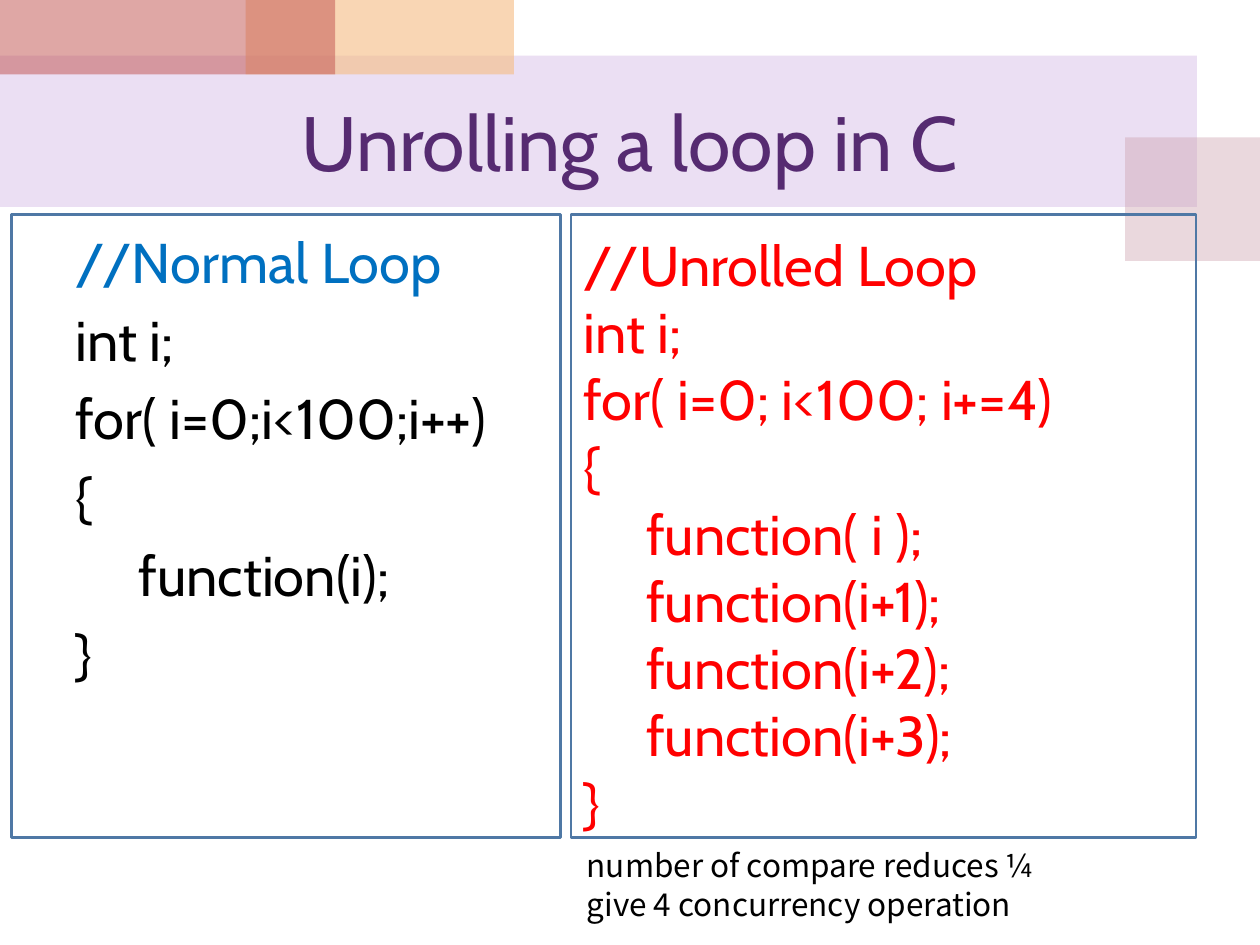
from lxml import etree
from pptx import Presentation
from pptx.dml.color import RGBColor
from pptx.enum import shapes, text
from pptx.oxml import ns
from pptx.util import Cm, Pt

PURPLE = RGBColor(0x56, 0x2B, 0x71)
BLUE = RGBColor(0x00, 0x70, 0xC0)
BLACK = RGBColor(0x00, 0x00, 0x00)
RED = RGBColor(0xFF, 0x00, 0x00)
FRAME = RGBColor(0x4F, 0x78, 0xA5)
LILAC = RGBColor(0xBF, 0x98, 0xD8)
ROSE = RGBColor(0xCC, 0x9E, 0xAC)
ORANGE = RGBColor(0xF5, 0xBC, 0x83)
BRICK = RGBColor(0xC0, 0x50, 0x4D)

CODE_FONT = "Cabin"
NOTE_FONT = "Noto Sans CJK KR"

TITLE = "Unrolling a loop in C"
NORMAL_LOOP = [
    "//Normal Loop",
    "int i;",
    "for( i=0;i<100;i++)",
    "{",
    "\tfunction(i);",
    "}",
]
UNROLLED_LOOP = [
    "//Unrolled Loop",
    "int i;",
    "for( i=0; i<100; i+=4)",
    "{",
    "\tfunction( i );",
    "\tfunction(i+1);",
    "\tfunction(i+2);",
    "\tfunction(i+3);",
    "}",
]
NOTE = ["number of compare reduces ¼", "give 4 concurrency operation"]

# left, top, width, height in cm; colour; opacity in percent
BANDS = [
    ((0, 1.12, 24.13, 3.05), LILAC, 30),
    ((22.68, 2.77, 2.72, 2.49), ROSE, 40),
    ((4.95, 0, 5.41, 1.5), ORANGE, 60),
    ((0, 0, 6.76, 1.5), BRICK, 50),
]
PANEL_TOP, PANEL_HEIGHT = 4.32, 12.57
PANELS = [(11.51, 12.6), (0.23, 11.07)]  # left, width


def lengths(area):
    return [Cm(value) for value in area]


def add_rectangle(page, area):
    box = page.shapes.add_shape(shapes.MSO_SHAPE.RECTANGLE, *lengths(area))
    box.shadow.inherit = False
    return box


def add_band(page, area, colour, opacity):
    band = add_rectangle(page, area)
    band.line.fill.background()
    band.fill.solid()
    band.fill.fore_color.rgb = colour
    tint = band.element.find(".//" + ns.qn("a:srgbClr"))
    etree.SubElement(tint, ns.qn("a:alpha"), val=str(opacity * 1000))
    return band


def write(box, area, lines, font, size, colour):
    box.left, box.top, box.width, box.height = lengths(area)
    frame = box.text_frame
    frame.text = "\n".join(lines)
    frame.word_wrap = True
    frame.auto_size = text.MSO_AUTO_SIZE.NONE
    for para in frame.paragraphs:
        for span in para.runs:
            span.font.name = font
            span.font.size = Pt(size)
            span.font.color.rgb = colour
    return frame


def remove_bullet(para):
    properties = para._p.get_or_add_pPr()
    properties.set("marL", "0")
    properties.set("indent", "0")
    etree.SubElement(properties, ns.qn("a:buNone"))


def main():
    deck = Presentation()
    deck.slide_width, deck.slide_height = Cm(25.4), Cm(19.05)
    page = deck.slides.add_slide(deck.slide_layouts[1])
    title, body = page.placeholders

    bands = [add_band(page, *band) for band in BANDS]
    for placeholder in (body, title):  # keep the text in front of the bands
        bands[-1].element.addnext(placeholder.element)

    frame = write(title, (1.27, 1.5, 22.86, 2.67), [TITLE], CODE_FONT, 44, PURPLE)
    frame.vertical_anchor = text.MSO_ANCHOR.MIDDLE
    frame.paragraphs[0].alignment = text.PP_ALIGN.CENTER

    frame = write(body, (1.27, 4.45, 9.83, PANEL_HEIGHT), NORMAL_LOOP, CODE_FONT, 32, BLACK)
    for number, para in enumerate(frame.paragraphs):
        remove_bullet(para)
        para.space_before = Pt(6.4 if number else 0)
    frame.paragraphs[0].runs[0].font.color.rgb = BLUE

    unrolled = page.shapes.add_textbox(0, 0, 0, 0)
    write(unrolled, (11.51, 4.52, 12.6, PANEL_HEIGHT), UNROLLED_LOOP, CODE_FONT, 32, RED)

    for left, width in PANELS:
        panel = add_rectangle(page, (left, PANEL_TOP, width, PANEL_HEIGHT))
        panel.fill.background()
        panel.line.color.rgb = FRAME
        panel.line.width = Pt(1.5)

    note = page.shapes.add_textbox(0, 0, 0, 0)
    frame = write(note, (11.58, 16.92, 11.33, 1.8), NOTE, NOTE_FONT, 18, BLACK)
    for para in frame.paragraphs:
        para.line_spacing = Pt(22)

    deck.save("out.pptx")


if __name__ == "__main__":
    main()
